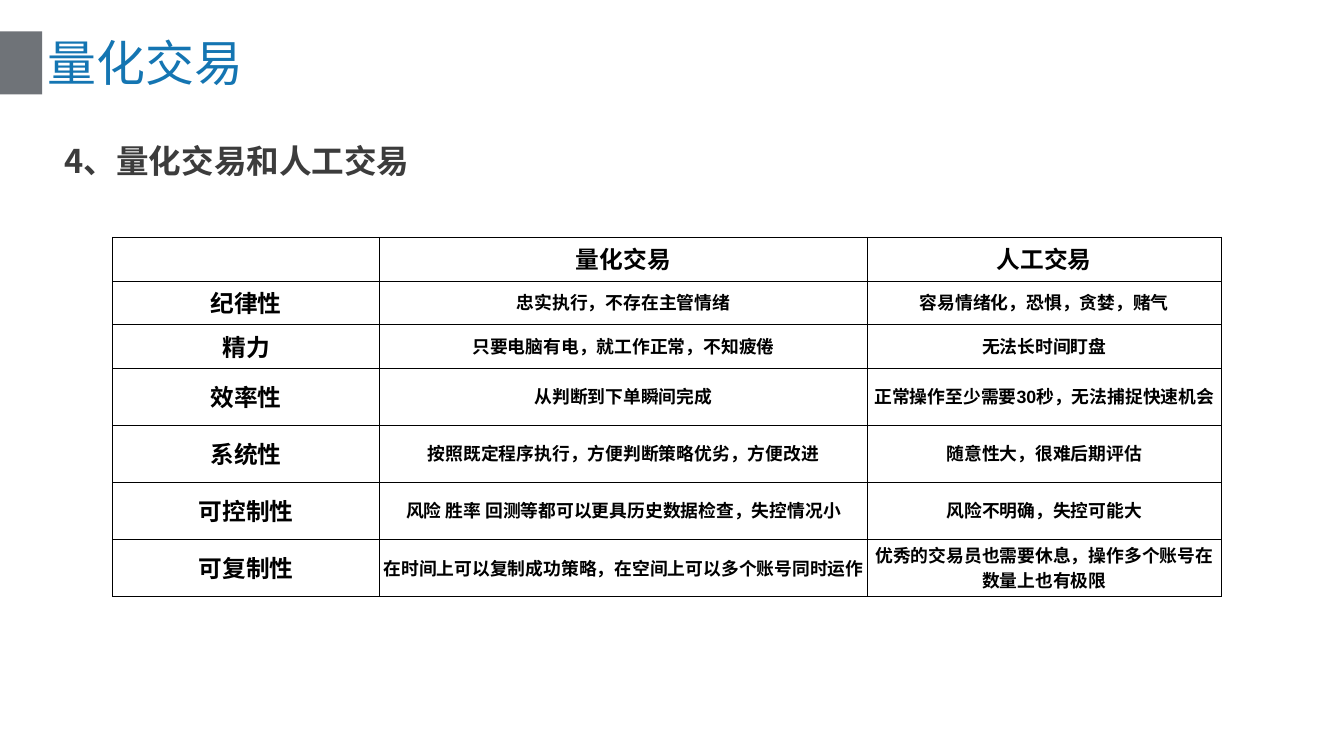
from dataclasses import dataclass

from lxml.etree import SubElement
from pptx import Presentation
from pptx.dml.color import RGBColor
from pptx.enum.shapes import MSO_SHAPE
from pptx.enum.text import MSO_ANCHOR, PP_ALIGN
from pptx.oxml.ns import qn
from pptx.slide import Slide
from pptx.table import _Cell
from pptx.text.text import _Paragraph
from pptx.util import Pt

EMU_PER_PX = 9144
BLUE = RGBColor(0x14, 0x75, 0xB2)
GRAY = RGBColor(0x6F, 0x73, 0x78)
DARK = RGBColor(0x3C, 0x3C, 0x3C)
BLACK = RGBColor(0, 0, 0)
CHINESE_FONT = "Noto Sans CJK SC"
TABLE_FONT = "Arial"


@dataclass(frozen=True)
class Style:
    size: int
    color: RGBColor
    font: str
    bold: bool


@dataclass(frozen=True)
class Heading:
    text: str
    left: int
    top: int
    width: int
    height: int
    anchor: MSO_ANCHOR
    line_spacing: float
    style: Style


HEADINGS = [
    Heading("量化交易", 79, 57, 2362, 120, MSO_ANCHOR.MIDDLE, 1.0,
            Style(66, BLUE, CHINESE_FONT, False)),
    Heading("4、量化交易和人工交易", 111, 223, 2191, 121, MSO_ANCHOR.TOP, 1.5,
            Style(44, DARK, CHINESE_FONT, True)),
]
LABEL = Style(32, BLACK, TABLE_FONT, True)
DETAIL = Style(24, BLACK, TABLE_FONT, True)
COLUMN_WIDTHS = [501, 914, 664]
ROW_HEIGHTS = [82] * 3 + [107] * 4
COMPARISON = [
    ("", "量化交易", "人工交易"),
    ("纪律性", "忠实执行，不存在主管情绪", "容易情绪化，恐惧，贪婪，赌气"),
    ("精力", "只要电脑有电，就工作正常，不知疲倦", "无法长时间盯盘"),
    ("效率性", "从判断到下单瞬间完成", "正常操作至少需要30秒，无法捕捉快速机会"),
    ("系统性", "按照既定程序执行，方便判断策略优劣，方便改进", "随意性大，很难后期评估"),
    ("可控制性", "风险 胜率 回测等都可以更具历史数据检查，失控情况小", "风险不明确，失控可能大"),
    ("可复制性", "在时间上可以复制成功策略，在空间上可以多个账号同时运作",
     "优秀的交易员也需要休息，操作多个账号在数量上也有极限"),
]


def px(length: int) -> int:
    return length * EMU_PER_PX


def write(paragraph: _Paragraph, text: str, style: Style) -> None:
    paragraph.text = text
    font = paragraph.font
    font.size = Pt(style.size)
    font.bold = style.bold
    font.color.rgb = style.color
    font.name = style.font
    defaults = paragraph._p.pPr.find(qn("a:defRPr"))
    SubElement(defaults, qn("a:ea")).set("typeface", CHINESE_FONT)


def add_heading(slide: Slide, heading: Heading) -> None:
    box = slide.shapes.add_textbox(
        px(heading.left), px(heading.top), px(heading.width), px(heading.height))
    frame = box.text_frame
    frame.word_wrap = True
    frame.vertical_anchor = heading.anchor
    paragraph = frame.paragraphs[0]
    paragraph.line_spacing = heading.line_spacing
    write(paragraph, heading.text, heading.style)


def add_borders(cell: _Cell) -> None:
    properties = cell._tc.get_or_add_tcPr()
    for side in ("lnL", "lnR", "lnT", "lnB"):
        line = SubElement(properties, qn(f"a:{side}"), w=str(Pt(1.5)))
        fill = SubElement(line, qn("a:solidFill"))
        SubElement(fill, qn("a:srgbClr"), val=str(BLACK))


def fill_cell(cell: _Cell, text: str, style: Style) -> None:
    add_borders(cell)
    cell.fill.background()
    cell.vertical_anchor = MSO_ANCHOR.MIDDLE
    cell.margin_left = cell.margin_right = cell.margin_top = px(1)
    cell.margin_bottom = px(5)
    if text:
        paragraph = cell.text_frame.paragraphs[0]
        paragraph.alignment = PP_ALIGN.CENTER
        write(paragraph, text, style)


def add_comparison(slide: Slide) -> None:
    table = slide.shapes.add_table(
        len(ROW_HEIGHTS), len(COLUMN_WIDTHS), px(211), px(445),
        px(sum(COLUMN_WIDTHS)), px(sum(ROW_HEIGHTS))).table
    table.first_row = False
    table.horz_banding = False
    for column, width in zip(table.columns, COLUMN_WIDTHS):
        column.width = px(width)
    for row, height in zip(table.rows, ROW_HEIGHTS):
        row.height = px(height)
    for row_index, texts in enumerate(COMPARISON):
        for column_index, text in enumerate(texts):
            style = LABEL if row_index == 0 or column_index == 0 else DETAIL
            fill_cell(table.cell(row_index, column_index), text, style)


def add_title_bar(slide: Slide) -> None:
    bar = slide.shapes.add_shape(MSO_SHAPE.RECTANGLE, 0, px(59), px(79), px(118))
    bar.shadow.inherit = False
    bar.fill.solid()
    bar.fill.fore_color.rgb = GRAY
    bar.line.fill.background()


def main() -> None:
    presentation = Presentation()
    presentation.slide_width = px(2520)
    presentation.slide_height = px(1417)
    slide = presentation.slides.add_slide(presentation.slide_layouts[6])
    add_title_bar(slide)
    for heading in HEADINGS:
        add_heading(slide, heading)
    add_comparison(slide)
    presentation.save("out.pptx")


if __name__ == "__main__":
    main()
